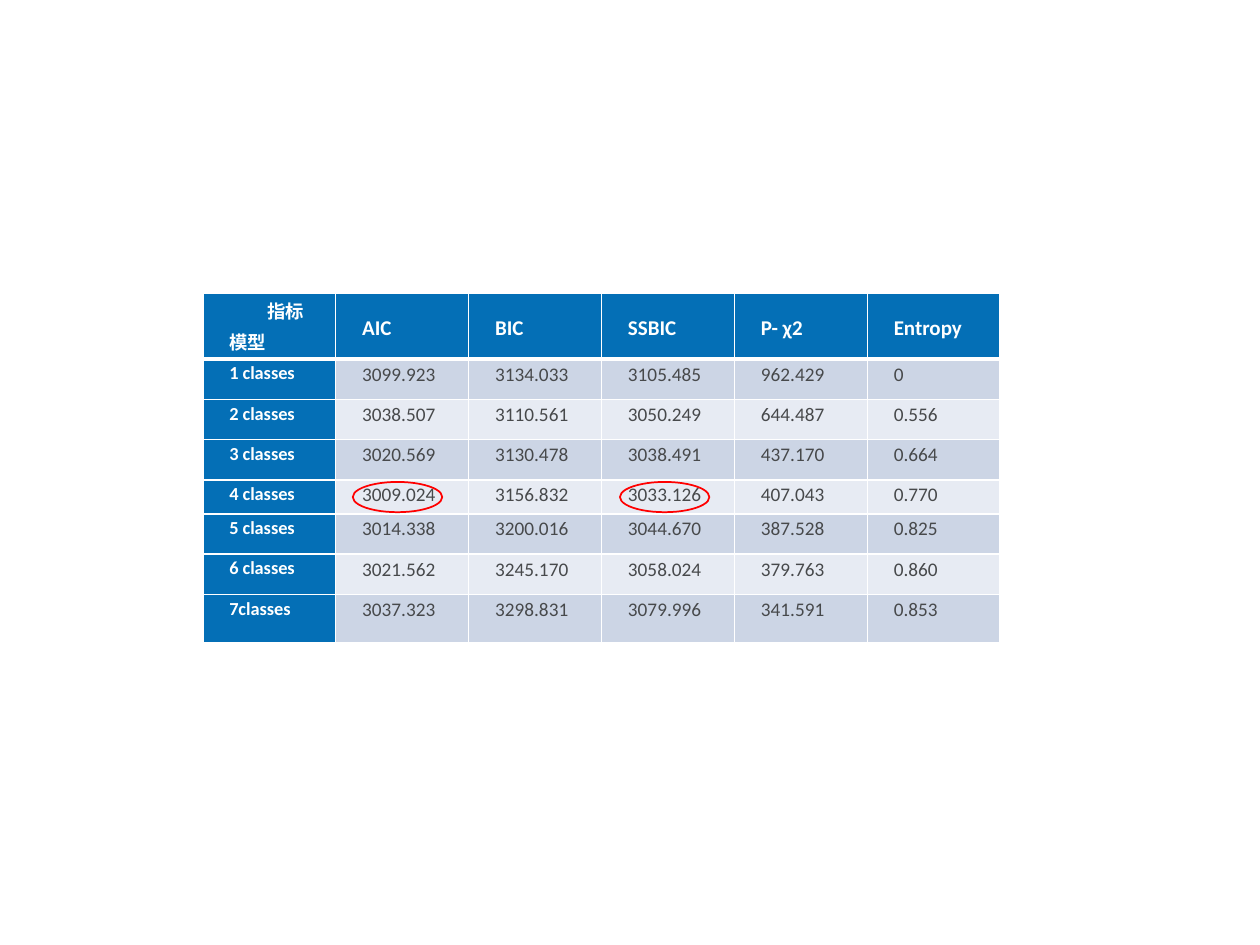
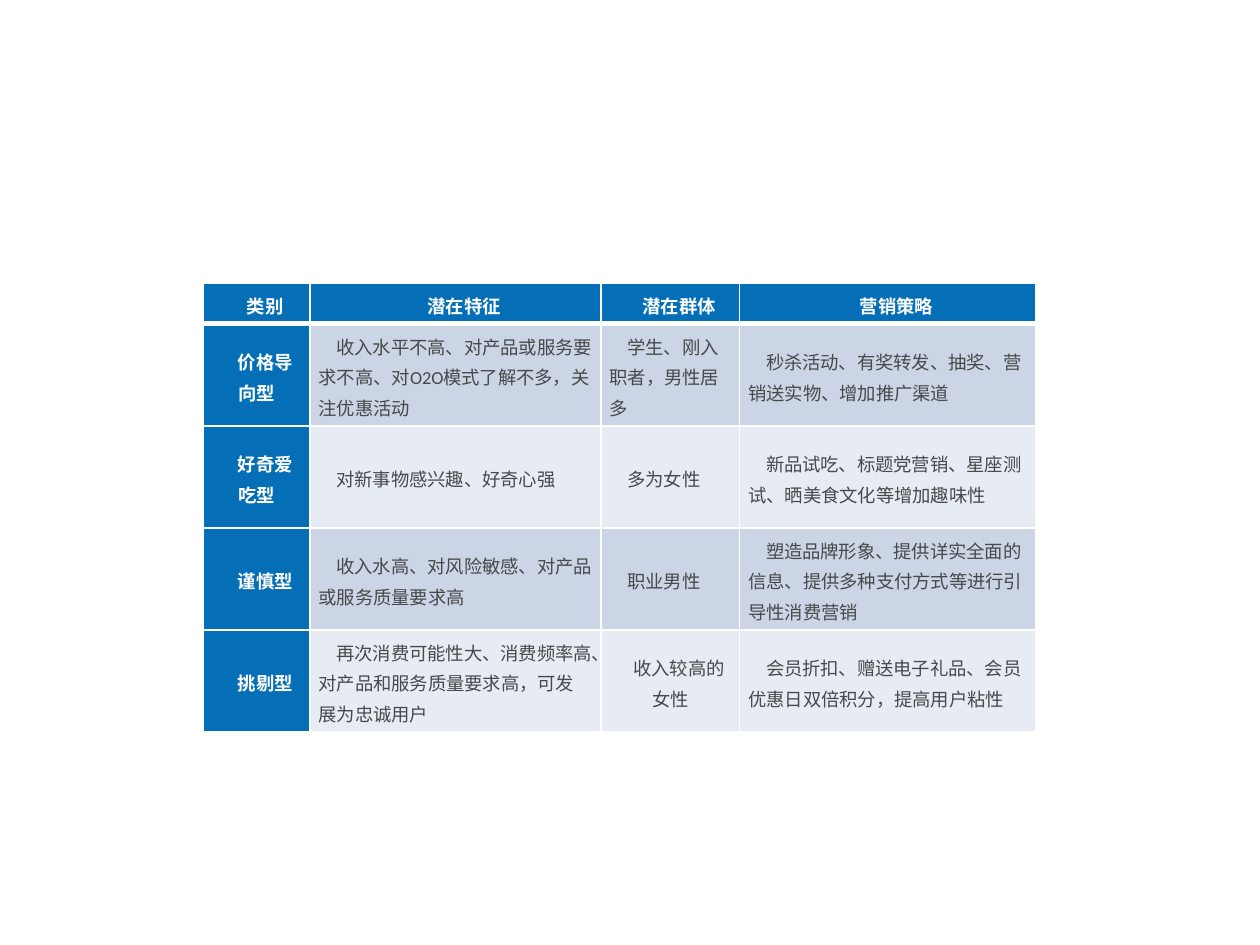
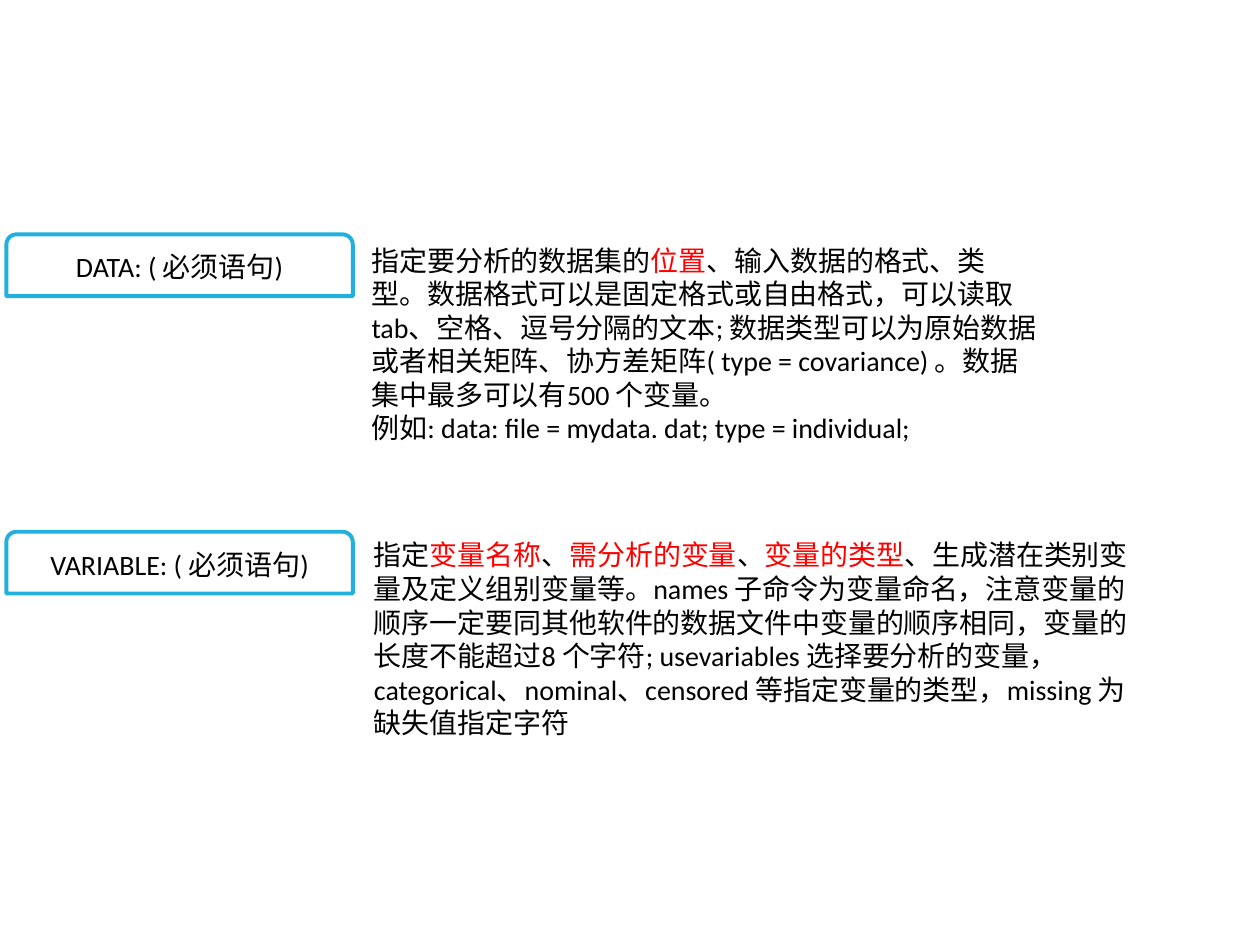
from lxml import etree
from pptx import Presentation
from pptx.dml.color import RGBColor
from pptx.enum.shapes import MSO_SHAPE
from pptx.enum.text import MSO_ANCHOR, MSO_AUTO_SIZE, PP_ALIGN
from pptx.oxml.ns import qn
from pptx.util import Inches, Pt

OVAL = MSO_SHAPE.OVAL
TAB = MSO_SHAPE.ROUND_2_SAME_RECTANGLE
TOP, MID = MSO_ANCHOR.TOP, MSO_ANCHOR.MIDDLE
LEFT, MIDST = PP_ALIGN.LEFT, PP_ALIGN.CENTER
GROW = MSO_AUTO_SIZE.SHAPE_TO_FIT_TEXT

BLUE = RGBColor(0x04, 0x6F, 0xB6)
CYAN = RGBColor(0x22, 0xB1, 0xDE)
DARK = RGBColor(0xCC, 0xD5, 0xE5)
PALE = RGBColor(0xE7, 0xEB, 0xF3)
GREY = RGBColor(0x47, 0x49, 0x4B)
WHITE = RGBColor(0xFF, 0xFF, 0xFF)
BLACK = RGBColor(0x00, 0x00, 0x00)
RED = RGBColor(0xFF, 0x00, 0x00)

FONT = "Calibri"
COLS, ROWS = 100, 75  # grid units on a slide


class Deck:
    def __init__(self):
        self.prs = Presentation()
        self.prs.slide_width, self.prs.slide_height = Inches(10), Inches(7.5)
        self.unit = self.prs.slide_width / COLS
        self.slide = None

    def size(self, *units):
        return [round(n * self.unit) for n in units]

    def page(self):
        self.slide = self.prs.slides.add_slide(self.prs.slide_layouts[6])

    def style(self, run, size, color, bold=False):
        font = run.font
        font.name, font.size, font.bold = FONT, Pt(size), bold
        font.color.rgb = color

    def indent(self, para, first, left=0):
        props = para._p.get_or_add_pPr()
        props.set("marL", str(Inches(left)))
        props.set("indent", str(Inches(first)))

    def edges(self, cell, top, base):
        props = cell._tc.get_or_add_tcPr()
        widths = {"lnL": 1, "lnR": 1, "lnT": top, "lnB": base}
        for i, (tag, width) in enumerate(widths.items()):
            line = etree.Element(qn("a:" + tag), w=str(Pt(width)))
            fill = etree.SubElement(line, qn("a:solidFill"))
            etree.SubElement(fill, qn("a:srgbClr"), val=str(WHITE))
            props.insert(i, line)

    def table(self, x, y, cols, rows, data, head=10.5, body=10.5, mid=False):
        """Header row and first column in blue; mid centres them."""
        box = self.size(x, y, sum(cols), sum(rows))
        grid = self.slide.shapes.add_table(len(rows), len(cols), *box).table
        for col, width in zip(grid.columns, self.size(*cols)):
            col.width = width
        for row, height in zip(grid.rows, self.size(*rows)):
            row.height = height
        for r, line in enumerate(data):
            for c, text in enumerate(line):
                cell = grid.cell(r, c)
                title = r == 0 or c == 0
                size = 10.5 if c == 0 else head if r == 0 else body
                cell.fill.solid()
                cell.fill.fore_color.rgb = BLUE if title else DARK if r % 2 else PALE
                self.edges(cell, 3 if r == 1 else 1, 3 if r == 0 else 1)
                cell.margin_left = cell.margin_right = Inches(0.07)
                cell.margin_top = cell.margin_bottom = 0
                cell.vertical_anchor = MID if mid or r == 0 else TOP
                cell.text_frame.text = text
                for para in cell.text_frame.paragraphs:
                    para.alignment = MIDST if mid and title else LEFT
                    para.line_spacing = 1.15
                    self.indent(para, 0.14)
                    for run in para.runs:
                        self.style(run, size, WHITE if title else GREY, title)
        return grid

    def shape(self, kind, x, y, w, h, color, width, text=""):
        item = self.slide.shapes.add_shape(kind, *self.size(x, y, w, h))
        item.shadow.inherit = False
        item.fill.background()
        item.line.color.rgb, item.line.width = color, Pt(width)
        if text:
            frame = item.text_frame
            frame.text, frame.vertical_anchor = text, MID
            para = frame.paragraphs[0]
            para.alignment = MIDST
            self.style(para.runs[0], 16, BLACK)

    def text(self, x, y, w, h, lines):
        """Parts between bars are red."""
        frame = self.slide.shapes.add_textbox(*self.size(x, y, w, h)).text_frame
        frame.word_wrap, frame.auto_size = True, GROW
        for i, line in enumerate(lines):
            para = frame.add_paragraph() if i else frame.paragraphs[0]
            for n, part in enumerate(line.split("|")):
                run = para.add_run()
                run.text = part
                self.style(run, 16, RED if n % 2 else BLACK)


FIT = [
    ["指标\n模型", "AIC", "BIC", "SSBIC", "P- χ2", "Entropy"],
    ["1 classes", "3099.923", "3134.033", "3105.485", "962.429", "0"],
    ["2 classes", "3038.507", "3110.561", "3050.249", "644.487", "0.556"],
    ["3 classes", "3020.569", "3130.478", "3038.491", "437.170", "0.664"],
    ["4 classes", "3009.024", "3156.832", "3033.126", "407.043", "0.770"],
    ["5 classes", "3014.338", "3200.016", "3044.670", "387.528", "0.825"],
    ["6 classes", "3021.562", "3245.170", "3058.024", "379.763", "0.860"],
    ["7classes", "3037.323", "3298.831", "3079.996", "341.591", "0.853"],
]

TYPES = [
    ["类别", "潜在特征", "潜在群体", "营销策略"],
    ["价格导向型", "收入水平不高、对产品或服务要求不高、对O2O模式了解不多，关注优惠活动",
     "学生、刚入职者，男性居多", "秒杀活动、有奖转发、抽奖、营销送实物、增加推广渠道"],
    ["好奇爱吃型", "对新事物感兴趣、好奇心强", "多为女性",
     "新品试吃、标题党营销、星座测试、晒美食文化等增加趣味性"],
    ["谨慎型", "收入水高、对风险敏感、对产品或服务质量要求高", "职业男性",
     "塑造品牌形象、提供详实全面的信息、提供多种支付方式等进行引导性消费营销"],
    ["挑剔型", "再次消费可能性大、消费频率高、对产品和服务质量要求高，可发展为忠诚用户",
     "收入较高的女性", "会员折扣、赠送电子礼品、会员优惠日双倍积分，提高用户粘性"],
]

DATA = [
    "指定要分析的数据集的|位置|、输入数据的格式、类",
    "型。数据格式可以是固定格式或自由格式，可以读取",
    "tab、空格、逗号分隔的文本; 数据类型可以为原始数据",
    "或者相关矩阵、协方差矩阵( type = covariance) 。数据",
    "集中最多可以有500 个变量。",
    "例如: data: file = mydata. dat; type = individual;",
]

VARS = [
    "指定|变量名称|、|需分析的变量|、|变量的类型|、生成潜在类别变量及定义组别变量等。"
    "names 子命令为变量命名，注意变量的顺序一定要同其他软件的数据文件中变量的顺序相同，"
    "变量的长度不能超过8 个字符; usevariables 选择要分析的变量，"
    "categorical、nominal、censored 等指定变量的类型，missing 为缺失值指定字符",
]


def main():
    deck = Deck()

    # Model fit, best values ringed
    deck.page()
    rows = [5.2, 3.2, 3.2, 3.2, 2.7, 3.2, 3.2, 3.8]
    fit = deck.table(16.1, 23.3, [10.55] * 6, rows, FIT, head=12, body=11)
    corner = fit.cell(0, 0)
    corner.vertical_anchor = TOP
    deck.indent(corner.text_frame.paragraphs[0], 0.29, 0.15)
    for x in (28, 49.2):
        deck.shape(OVAL, x, 38.25, 7.1, 2.4, RED, 1)

    # Customer types
    deck.page()
    types = deck.table(16.1, 22.5, [8.5, 23.1, 11, 23.5], [3.2] + [8.1] * 4,
                       TYPES, mid=True)
    types.cell(4, 2).text_frame.paragraphs[0].alignment = MIDST

    # Commands and what they do
    deck.page()
    parts = [("DATA", 18.6, 28.5, 18.8, 60.9, DATA),
             ("VARIABLE", 42.2, 28.7, 42.2, 62, VARS)]
    for name, y, left, top, width, lines in parts:
        deck.shape(TAB, 0.5, y, 27.5, 4.9, CYAN, 2.25, name + ": ( 必须语句)")
        deck.text(left, top, width, 17.2, lines)

    deck.prs.save("out.pptx")


if __name__ == "__main__":
    main()
